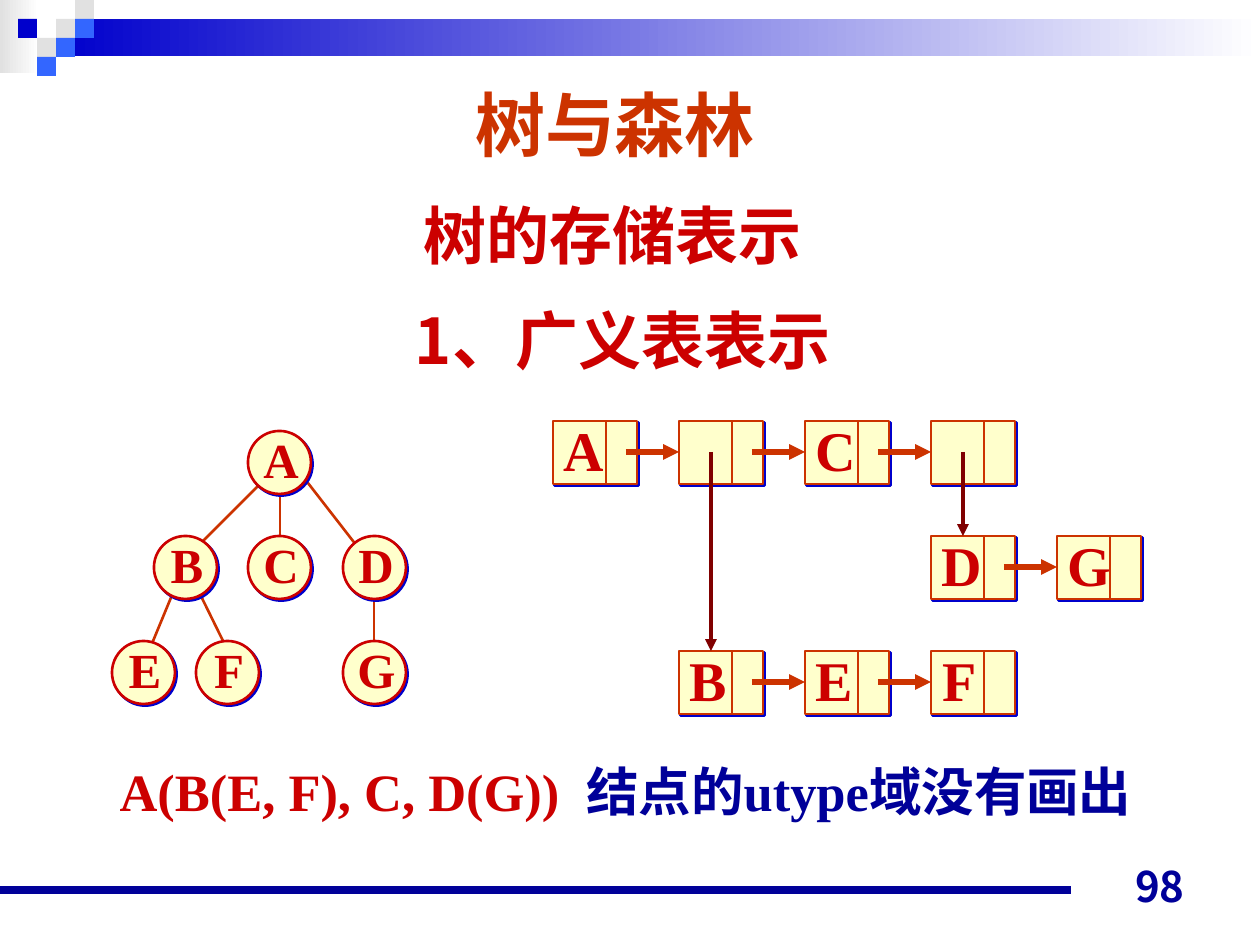
from dataclasses import dataclass

from lxml.etree import SubElement
from pptx import Presentation
from pptx.dml.color import RGBColor as RGB
from pptx.enum.shapes import MSO_CONNECTOR as LINE, MSO_SHAPE as SHAPE
from pptx.enum.text import MSO_ANCHOR as ANCHOR, PP_ALIGN as ALIGN
from pptx.oxml.ns import qn
from pptx.util import Emu, Pt


@dataclass(frozen=True)
class Theme:
    red: str = "CC0000"
    orange: str = "CC3300"
    maroon: str = "800000"
    navy: str = "000099"
    blue: str = "0000CC"
    sky: str = "3366FF"
    gray: str = "E1E1E1"
    white: str = "FFFFFF"
    cream: str = "FFFFCC"
    serif: str = "Times New Roman"
    sans: str = "Arial"
    cjk: str = "Noto Sans CJK JP"
    title: int = 40
    heading: int = 36
    cell: int = 32
    formula: int = 30
    node: int = 28
    number: int = 24


THEME = Theme()
PX_PER_INCH = 126
NODE = 63  # diameter of a tree node, height of a list cell


def px(length):
    return Emu(round(length * 914400 / PX_PER_INCH))


def style_run(run, size, color, font):
    run.font.size, run.font.bold, run.font.name = Pt(size), True, font
    run.font.color.rgb = RGB.from_string(color)
    SubElement(run.font._element, qn("a:ea"), typeface=THEME.cjk)


def add_text(slide, box, text, size, color, font=THEME.cjk,
             align=ALIGN.CENTER, anchor=ANCHOR.TOP, wrap=True):
    frame = slide.shapes.add_textbox(*map(px, box)).text_frame
    frame.word_wrap, frame.vertical_anchor = wrap, anchor
    paragraph = frame.paragraphs[0]
    paragraph.text, paragraph.alignment = text, align
    for run in paragraph.runs:
        style_run(run, size, color, font)
    return paragraph


def add_letter(slide, center_x, center_y, letter, size):
    width, height = 62, round(size * 2.5)
    box = (center_x - width // 2, center_y - height // 2, width, height)
    add_text(slide, box, letter, size, THEME.red, THEME.serif,
             anchor=ANCHOR.MIDDLE, wrap=False)


def add_line(slide, start, end, color, width, arrow=False):
    line = slide.shapes.add_connector(LINE.STRAIGHT, *map(px, (*start, *end)))
    line.line.color.rgb, line.line.width = RGB.from_string(color), Pt(width)
    if arrow:
        SubElement(line.line._get_or_add_ln(), qn("a:tailEnd"), type="triangle")
    SubElement(line._element.spPr, qn("a:effectLst"))


def add_block(slide, box, color, fade=False):
    block = slide.shapes.add_shape(SHAPE.RECTANGLE, *map(px, box))
    block.shadow.inherit = False
    block.line.fill.background()
    if fade:
        block.fill.gradient()
        block.fill.gradient_angle = 0
        for stop, shade in zip(block.fill.gradient_stops, (color, THEME.white)):
            stop.color.rgb = RGB.from_string(shade)
    else:
        block.fill.solid()
        block.fill.fore_color.rgb = RGB.from_string(color)


def add_raised(slide, kind, box, outline):
    raised = slide.shapes.add_shape(kind, *map(px, box))
    raised.fill.solid()
    raised.fill.fore_color.rgb = RGB.from_string(THEME.cream)
    raised.line.color.rgb, raised.line.width = RGB.from_string(outline), Pt(1.5)
    raised.shadow.inherit = False
    effects = raised._element.spPr.find(qn("a:effectLst"))
    shadow = SubElement(effects, qn("a:outerShdw"), dist=str(Pt(1.4)),
                        dir="2700000", algn="ctr", rotWithShape="0")
    SubElement(shadow, qn("a:srgbClr"), val=THEME.blue)


def draw_banner(slide, left, top, width):
    add_block(slide, (left, top, 39, 73), THEME.gray, fade=True)
    add_block(slide, (left + 57, top + 19, width - 57, 37), THEME.blue, fade=True)
    # checkered squares: column, row, colour
    step = 19
    for column, row, color in ((3, 1, THEME.gray), (4, 0, THEME.gray),
                               (4, 1, THEME.sky), (2, 2, THEME.gray),
                               (1, 1, THEME.blue), (3, 2, THEME.sky),
                               (2, 3, THEME.sky)):
        add_block(slide, (left + column * step - 1, top + row * step, step, step), color)


def draw_headings(slide, left, top):
    add_text(slide, (left + 164, top, 496, 115), "树与森林", THEME.title,
             THEME.orange, THEME.sans, anchor=ANCHOR.MIDDLE)
    add_text(slide, (left, top + 124, 819, 88), "树的存储表示",
             THEME.heading, THEME.red)
    add_text(slide, (left + 10, top + 229, 819, 88), "1、广义表表示",
             THEME.heading, THEME.red)


def draw_tree(slide, left, top):
    # branches
    for x1, y1, x2, y2 in ((262, 157, 262, 232), (189, 43, 262, 137),
                           (85, 157, 116, 220), (63, 157, 32, 232),
                           (148, 53, 85, 116), (168, 53, 168, 116)):
        add_line(slide, (left + x1, top + y1), (left + x2, top + y2),
                 THEME.orange, 1.5)
    # nodes: letter, offset, level
    radius = NODE // 2
    for letter, offset, level in (("A", 136, 0), ("B", 42, 1), ("C", 136, 1),
                                  ("D", 231, 1), ("E", 0, 2), ("F", 84, 2),
                                  ("G", 231, 2)):
        x, y = left + offset, top + level * 105
        add_raised(slide, SHAPE.OVAL, (x, y, NODE, NODE), THEME.red)
        add_letter(slide, x + radius + 2, y + radius - 3, letter, THEME.node)


def draw_lists(slide, left, top):
    cell_width, divider, pitch, row_gap = 84, 53, 126, 115
    middle = NODE // 2
    # first column and letters of each list; a blank cell points to a sublist
    for row, (first, letters) in enumerate(((0, "A C "), (3, "DG"), (1, "BEF"))):
        y = top + row * row_gap
        for index, letter in enumerate(letters):
            x = left + (first + index) * pitch
            add_raised(slide, SHAPE.RECTANGLE, (x, y, cell_width, NODE), THEME.orange)
            add_line(slide, (x + divider, y), (x + divider, y + NODE),
                     THEME.orange, 1.5)
            if index < len(letters) - 1:
                add_line(slide, (x + 73, y + middle), (x + pitch, y + middle),
                         THEME.orange, 3, arrow=True)
            if letter != " ":
                add_letter(slide, x + divider // 2 + 3, y + middle - 3,
                           letter, THEME.cell)
    # links down to the sublists
    for column, row in ((1, 2), (3, 1)):
        x = left + column * pitch + 32
        add_line(slide, (x, top + middle), (x, top + row * row_gap),
                 THEME.maroon, 2.25, arrow=True)


def draw_formula(slide, left, top, width):
    formula = add_text(slide, (left, top, width, 76), "A(B(E, F), C, D(G))",
                       THEME.formula, THEME.red, THEME.serif)
    for text in (" ", "结点的utype域没有画出"):
        run = formula.add_run()
        run.text = text
        style_run(run, THEME.formula, THEME.navy, THEME.serif)
        if text == " ":  # widen the gap before the remark
            run.font._element.set("spc", "750")


def draw_footer(slide, left, top):
    add_line(slide, (left, top + 36), (left + 1071, top + 36), THEME.navy, 4.5)
    add_text(slide, (left + 903, top, 294, 63), "98", THEME.number, THEME.navy,
             align=ALIGN.RIGHT, anchor=ANCHOR.BOTTOM)


def main():
    deck = Presentation()
    deck.slide_width, deck.slide_height = px(1260), px(945)
    slide = deck.slides.add_slide(deck.slide_layouts[6])
    draw_banner(slide, 0, 0, 1260)
    draw_headings(slide, 203, 66)
    draw_tree(slide, 112, 431)
    draw_lists(slide, 553, 421)
    draw_formula(slide, 74, 753, 1103)
    draw_footer(slide, 0, 854)
    deck.save("out.pptx")


if __name__ == "__main__":
    main()
